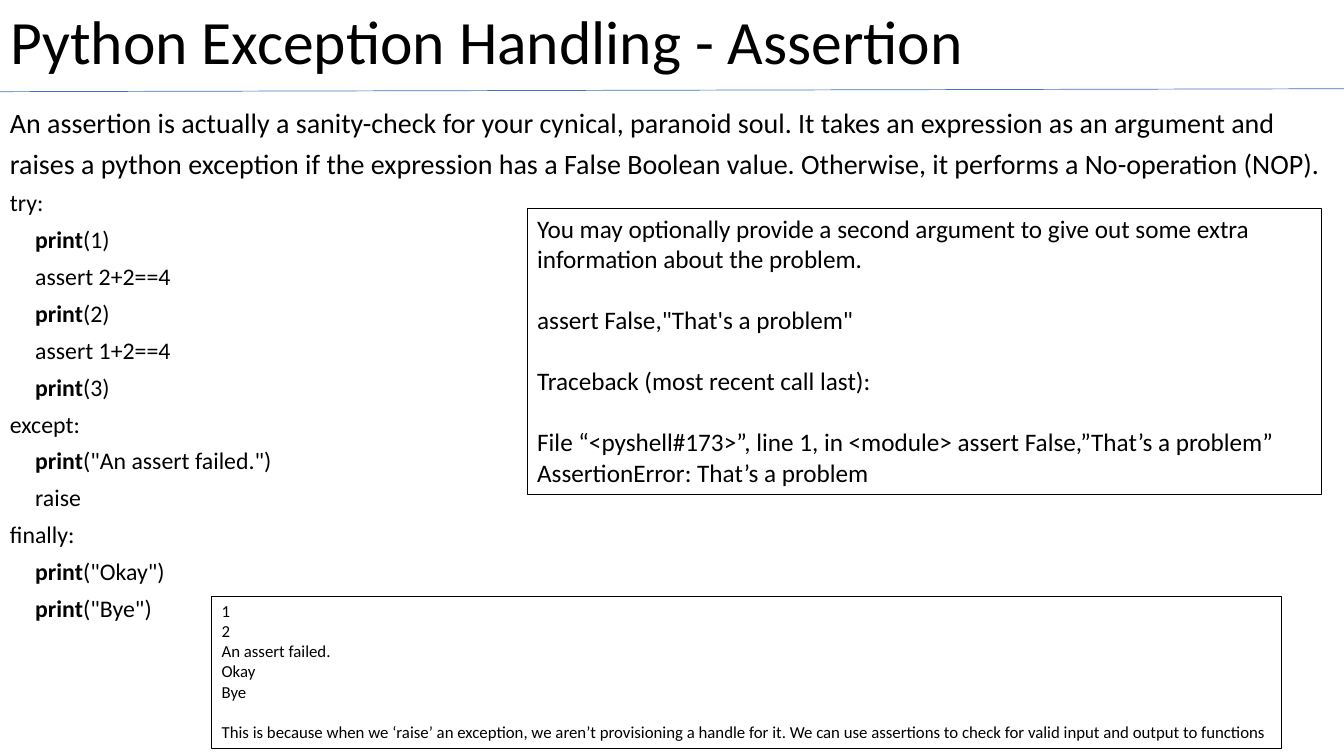
from lxml import etree
from pptx import Presentation
from pptx.dml.color import RGBColor
from pptx.enum import shapes, text
from pptx.oxml import ns
from pptx.util import Pt

BLACK = RGBColor(0x00, 0x00, 0x00)
BLUE = RGBColor(0x44, 0x72, 0xC4)
FONT = "Calibri"

INTRO = [
    "An assertion is actually a sanity-check for your cynical, paranoid soul. It takes an expression as an argument and",
    "raises a python exception if the expression has a False Boolean value. Otherwise, it performs a No-operation (NOP).",
]
CODE = [
    (0, "", "try:"),
    (18, "print", "(1)"),
    (18, "", "assert 2+2==4"),
    (18, "print", "(2)"),
    (18, "", "assert 1+2==4"),
    (18, "print", "(3)"),
    (0, "", "except:"),
    (18, "print", '("An assert failed.")'),
    (18, "", "raise"),
    (0, "", "finally:"),
    (18, "print", '("Okay")'),
    (18, "print", '("Bye")'),
]
OUTPUT = [
    (0, "1"),
    (0, "2"),
    (0, "An assert failed."),
    (0, "Okay"),
    (0, "Bye"),
    (14.65, "This is because when we ‘raise’ an exception, we aren’t provisioning a handle for it. "
            "We can use assertions to check for valid input and output to functions"),
]
MESSAGE = [
    (0, "You may optionally provide a second argument to give out some extra information about the problem."),
    (21.97, 'assert False,"That\'s a problem"'),
    (21.97, "Traceback (most recent call last):"),
    (21.97, "File “<pyshell#173>”, line 1, in <module> assert False,”That’s a problem”"),
    (0, "AssertionError: That’s a problem"),
]
BOXES = [
    (151.2, 425.5, 763.9, 108.7, 12, OUTPUT),
    (376.6, 149, 567.4, 203.8, 18, MESSAGE),
]


def style(p, size, before=0, spacing=1.0):
    p.font.name = FONT
    p.font.size = Pt(size)
    p.font.color.rgb = BLACK
    p.space_before = Pt(before)
    p.line_spacing = spacing


def next_paragraph(tf, index):
    return tf.add_paragraph() if index else tf.paragraphs[0]


prs = Presentation()
prs.slide_width, prs.slide_height = Pt(960), Pt(540)
s = prs.slides.add_slide(prs.slide_layouts[5])

title = s.shapes.title
title.left, title.top, title.width, title.height = Pt(0), Pt(0), Pt(960), Pt(63.4)
tf = title.text_frame
tf.text = "Python Exception Handling - Assertion"
tf.auto_size = text.MSO_AUTO_SIZE.NONE
tf.vertical_anchor = text.MSO_ANCHOR.MIDDLE
style(tf.paragraphs[0], 44, spacing=0.9)
tf.paragraphs[0].alignment = text.PP_ALIGN.LEFT

body = s.shapes.add_textbox(Pt(0), Pt(76.3), Pt(960), Pt(404))
tf = body.text_frame
tf.word_wrap = True
for i, sentence in enumerate(INTRO):
    p = next_paragraph(tf, i)
    p.text = sentence
    p.alignment = text.PP_ALIGN.JUSTIFY
    style(p, 20, 10, 0.8)
for indent, keyword, rest in CODE:
    p = tf.add_paragraph()
    style(p, 17, 10, 0.8)
    p._p.get_or_add_pPr().set("marL", str(Pt(indent)))
    if keyword:
        r = p.add_run()
        r.text = keyword
        r.font.bold = True
    p.add_run().text = rest

rule = s.shapes.add_connector(shapes.MSO_CONNECTOR.STRAIGHT, Pt(0), Pt(65.5), Pt(960), Pt(63.4))
rule.line.color.rgb = BLUE
rule.line.width = Pt(0.5)
etree.SubElement(rule._element.spPr, ns.qn("a:effectLst"))

for left, top, width, height, size, lines in BOXES:
    sp = s.shapes.add_shape(shapes.MSO_SHAPE.RECTANGLE, Pt(left), Pt(top), Pt(width), Pt(height))
    sp.shadow.inherit = False
    sp.fill.background()
    sp.line.color.rgb = BLACK
    sp.line.width = Pt(0.25)
    tf = sp.text_frame
    tf.word_wrap = True
    tf.vertical_anchor = text.MSO_ANCHOR.TOP
    for i, (before, line) in enumerate(lines):
        p = next_paragraph(tf, i)
        p.text = line
        p.alignment = text.PP_ALIGN.LEFT
        style(p, size, before)

prs.save("out.pptx")
